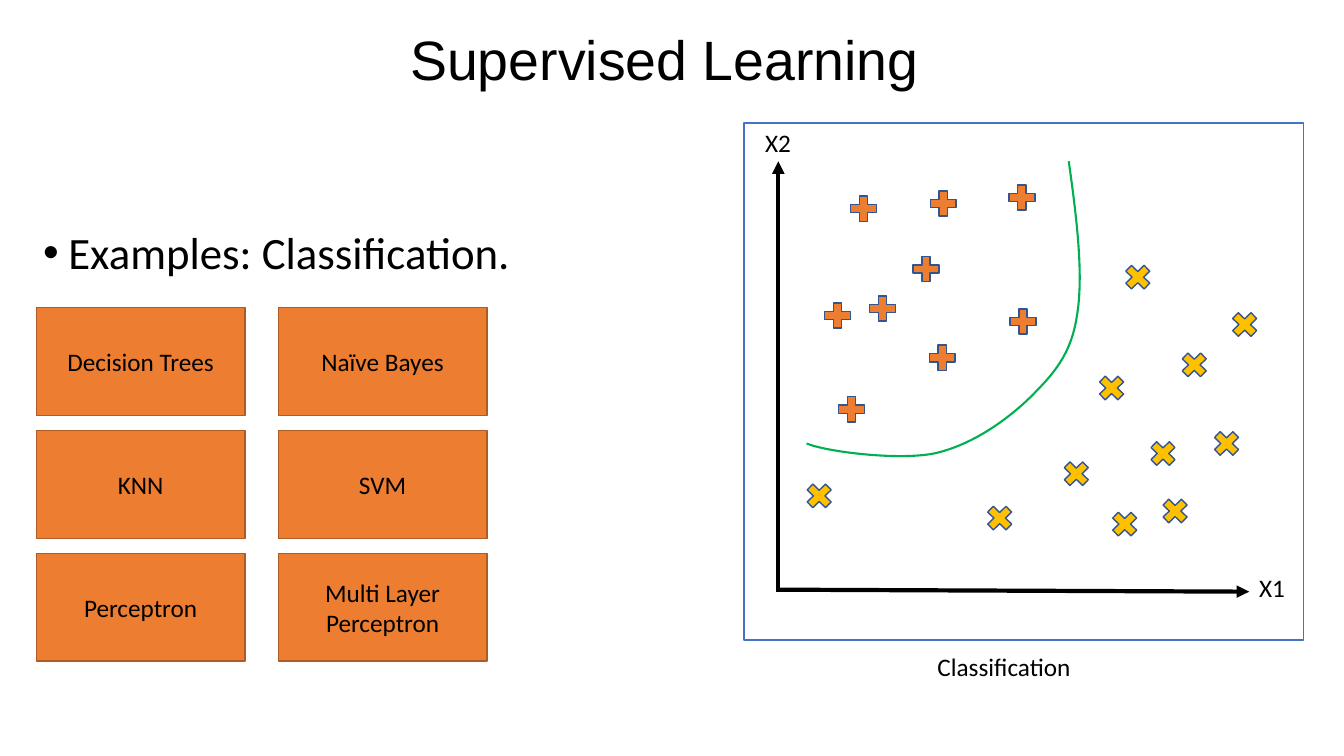
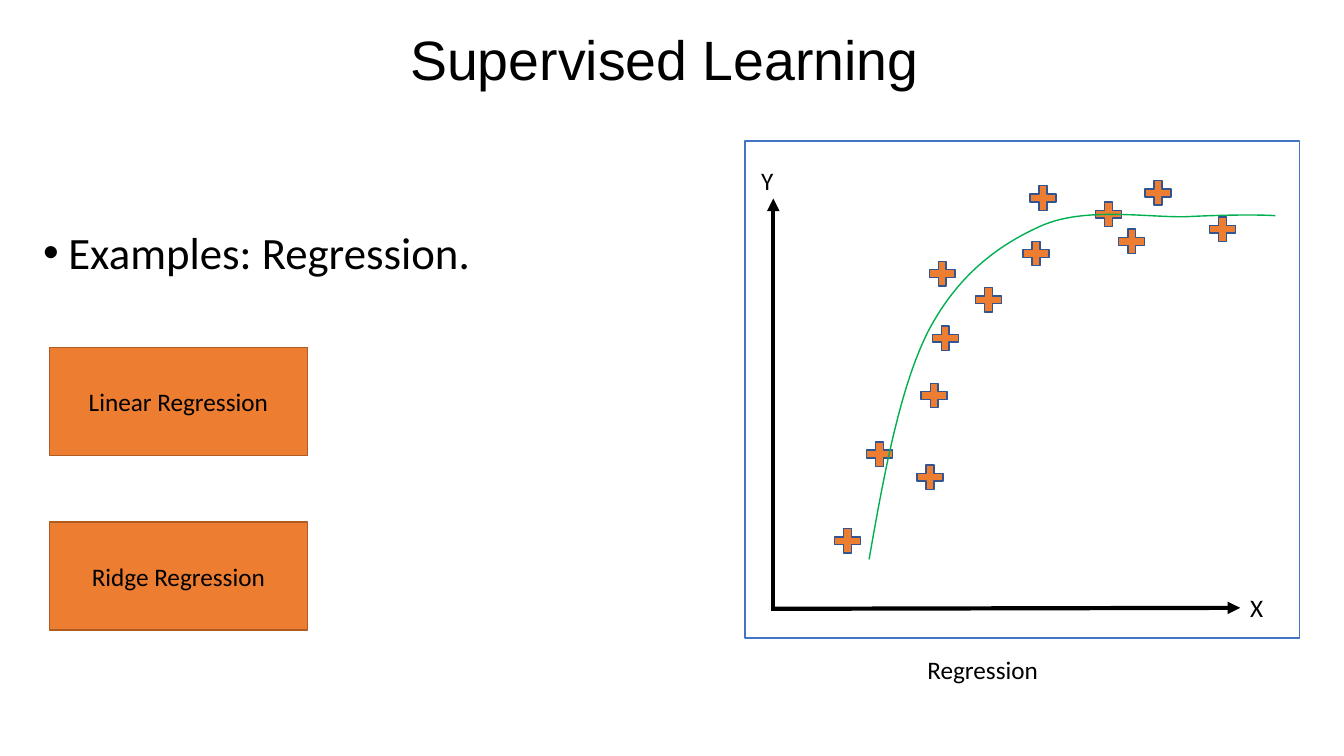
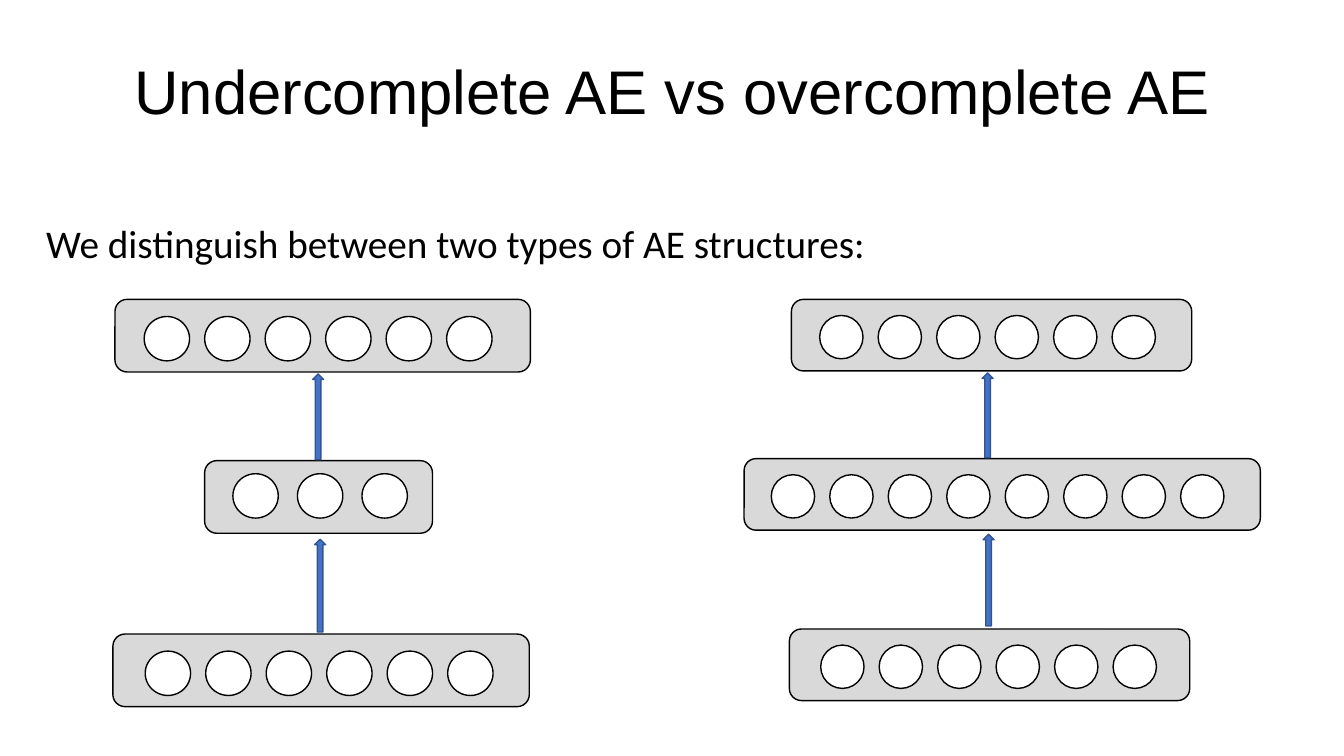
from dataclasses import dataclass

from lxml import etree
from pptx import Presentation
from pptx.dml.color import RGBColor
from pptx.enum.shapes import MSO_CONNECTOR, MSO_SHAPE
from pptx.enum.text import MSO_ANCHOR, MSO_AUTO_SIZE, PP_ALIGN
from pptx.oxml.ns import qn
from pptx.util import Inches, Pt

RECT, ROUND, OVAL = MSO_SHAPE.RECTANGLE, MSO_SHAPE.ROUNDED_RECTANGLE, MSO_SHAPE.OVAL
PLUS, CROSS, ARROW = MSO_SHAPE.MATH_PLUS, MSO_SHAPE.MATH_MULTIPLY, MSO_SHAPE.UP_ARROW
STRAIGHT = MSO_CONNECTOR.STRAIGHT
LEFT, CENTER = PP_ALIGN.LEFT, PP_ALIGN.CENTER
TOP, MIDDLE = MSO_ANCHOR.TOP, MSO_ANCHOR.MIDDLE


@dataclass(frozen=True)
class Theme:
    black: str = "000000"
    white: str = "FFFFFF"
    gray: str = "D9D9D9"
    blue: str = "4472C4"
    dark_blue: str = "325491"
    orange: str = "ED7D31"
    brown: str = "AF5C24"
    gold: str = "FFC000"
    green: str = "00B050"
    title_font: str = "Arial"
    body_font: str = "Calibri"
    title: float = 44
    small_title: float = 39.6
    bullet: float = 32
    lead: float = 28
    label: float = 18


T = Theme()


def write(shape, text, size, font=T.body_font, align=LEFT, anchor=TOP, spacing=1.0):
    tf = shape.text_frame
    tf.word_wrap = True
    tf.auto_size = MSO_AUTO_SIZE.NONE
    tf.vertical_anchor = anchor
    p = tf.paragraphs[0]
    p.alignment = align
    p.line_spacing = spacing
    r = p.add_run()
    r.text = text
    for name, value in {"name": font, "size": Pt(size), "bold": False}.items():
        setattr(r.font, name, value)
    r.font.color.rgb = RGBColor.from_string(T.black)
    return p


def add_box(s, kind, box, fill, line):
    sp = s.shapes.add_shape(kind, *map(Inches, box))
    sp.shadow.inherit = False
    sp.fill.solid()
    sp.fill.fore_color.rgb = RGBColor.from_string(fill)
    sp.line.color.rgb = RGBColor.from_string(line)
    sp.line.width = Pt(1)
    return sp


prs = Presentation()
prs.slide_width, prs.slide_height = Inches(13.33), Inches(7.5)
title_only = prs.slide_layouts[5]

SMALL_TITLE = ((1.09, 0.29, 11, 0.69), T.small_title, 0.8)
LARGE_TITLE = ((0.92, 0.4, 11.5, 1.07), T.title, 0.9)
slides = []
for text, (box, size, spacing) in [
    ("Supervised Learning", SMALL_TITLE),
    ("Supervised Learning", SMALL_TITLE),
    ("Undercomplete AE vs overcomplete AE", LARGE_TITLE),
]:
    s = prs.slides.add_slide(title_only)
    title = s.shapes.title
    title.left, title.top, title.width, title.height = map(Inches, box)
    write(title, text, size, T.title_font, CENTER, MIDDLE, spacing)
    slides.append(s)

# Supervised learning: methods on the left, a scatter plot on the right
plots = [
    {
        "bullet": "Examples: Classification.",
        "methods": ["Decision Trees", "Naïve Bayes", "KNN", "SVM",
                    "Perceptron", "Multi Layer Perceptron"],
        "grid": {"left": 0.36, "top": 3.05, "columns": 2, "dx": 2.4, "dy": 1.22,
                 "width": 2.07},
        "frame": (7.38, 1.22, 5.55, 5.13),
        "axes": [(7.73, 5.85, 12.39, 5.87), (7.72, 5.87, 7.72, 1.6)],
        "labels": [("X1", (12.39, 5.63, 0.72, 0.48)), ("X2", (7.49, 1.21, 0.72, 0.48)),
                   ("Classification", (9.2, 6.41, 3.23, 0.48))],
        "mark_height": 0.34,
        "marks": [
            (PLUS, T.orange, [(8.39, 1.9), (8.58, 2.89), (9.18, 1.85), (9.01, 2.5),
                              (9.17, 3.38), (9.97, 3.02), (8.13, 2.96), (9.96, 1.79),
                              (8.27, 3.89)]),
            (CROSS, T.gold, [(9.74, 4.97), (11.67, 3.45), (10.5, 4.53), (10.85, 3.68),
                             (10.98, 5.03), (11.99, 4.23), (11.48, 4.9), (12.17, 3.05),
                             (11.11, 2.58), (11.36, 4.33), (7.95, 4.75)]),
        ],
        "curve": [(10.6, 1.6), (10.68, 2.17), (10.75, 2.74), (10.68, 3.14),
                  (10.62, 3.53), (10.44, 3.72), (10.21, 3.95), (9.97, 4.18),
                  (9.63, 4.42), (9.26, 4.5), (8.89, 4.57), (8.19, 4.48), (8, 4.4)],
        "curve_width": 1.5,
    },
    {
        "bullet": "Examples: Regression.",
        "methods": ["Linear Regression", "Ridge Regression"],
        "grid": {"left": 0.49, "top": 3.45, "columns": 1, "dx": 0, "dy": 1.73,
                 "width": 2.56},
        "frame": (7.39, 1.4, 5.5, 4.93),
        "axes": [(7.68, 6.04, 12.3, 6.03), (7.67, 6.06, 7.67, 1.97)],
        "labels": [("X", (12.3, 5.83, 0.71, 0.4)), ("Y", (7.45, 1.59, 0.71, 0.4)),
                   ("Regression", (9.1, 6.44, 3.2, 0.46))],
        "mark_height": 0.33,
        "marks": [
            (PLUS, T.orange, [(8.23, 5.2), (9.17, 2.55), (8.55, 4.34), (9.09, 3.76),
                              (9.63, 2.81), (9.2, 3.19), (10.17, 1.8), (9.05, 4.57),
                              (10.1, 2.35), (10.82, 1.96), (11.05, 2.23), (11.31, 1.75),
                              (11.95, 2.11)]),
        ],
        "curve": [(8.62, 5.55), (8.77, 4.69), (8.93, 3.83), (9.21, 3.28),
                  (9.5, 2.73), (9.9, 2.43), (10.33, 2.24), (10.76, 2.05),
                  (11.38, 2.16), (11.77, 2.15), (12.16, 2.13), (12.5, 2.13), (12.65, 2.14)],
        "curve_width": 1,
    },
]

for s, plot in zip(slides, plots):
    body = s.shapes.add_textbox(Inches(0.33), Inches(2.18), Inches(5.27), Inches(0.7))
    pPr = body.text_frame.paragraphs[0]._p.get_or_add_pPr()
    pPr.set("marL", str(Inches(0.25)))
    pPr.set("indent", str(-Inches(0.25)))
    etree.SubElement(pPr, qn("a:buFont")).set("typeface", "Arial")
    etree.SubElement(pPr, qn("a:buChar")).set("char", "•")
    write(body, plot["bullet"], T.bullet)

    grid = plot["grid"]
    for i, method in enumerate(plot["methods"]):
        row, column = divmod(i, grid["columns"])
        box = (grid["left"] + column * grid["dx"], grid["top"] + row * grid["dy"],
               grid["width"], 1.07)
        sp = add_box(s, RECT, box, T.orange, T.brown)
        write(sp, method, T.label, align=CENTER, anchor=MIDDLE)

    add_box(s, RECT, plot["frame"], T.white, T.blue)
    for ends in plot["axes"]:
        axis = s.shapes.add_connector(STRAIGHT, *map(Inches, ends))
        axis.line.color.rgb = RGBColor.from_string(T.black)
        axis.line.width = Pt(3)
        etree.SubElement(axis.line._get_or_add_ln(), qn("a:tailEnd")).set("type", "triangle")
        etree.SubElement(axis._element.spPr, qn("a:effectLst"))
    for text, box in plot["labels"]:
        write(s.shapes.add_textbox(*map(Inches, box)), text, T.label)
    for kind, color, places in plot["marks"]:
        for x, y in places:
            add_box(s, kind, (x, y, 0.35, plot["mark_height"]), color, T.dark_blue)

    start, *controls = [(Inches(x), Inches(y)) for x, y in plot["curve"]]
    builder = s.shapes.build_freeform(*start)
    builder.add_line_segments(controls, close=False)
    curve = builder.convert_to_shape()
    curve.shadow.inherit = False
    curve.fill.background()
    curve.line.color.rgb = RGBColor.from_string(T.green)
    curve.line.width = Pt(plot["curve_width"])
    # Every three straight segments become one Bézier segment
    segments = list(curve._element.iter(qn("a:lnTo")))
    for i in range(0, len(segments), 3):
        bezier = etree.Element(qn("a:cubicBezTo"))
        segments[i].addprevious(bezier)
        for segment in segments[i:i + 3]:
            bezier.append(segment[0])
            segment.getparent().remove(segment)

# Autoencoders: layers of units joined by arrows
s = slides[2]
lead = s.shapes.add_textbox(Inches(0.36), Inches(2.13), Inches(8.36), Inches(0.57))
write(lead, "We distinguish between two types of AE structures:", T.lead)

networks = [
    {
        "height": 0.72, "unit": (0.45, 0.44),
        # layer left, top, width; first unit left, top; unit count, pitch
        "layers": [(1.14, 2.97, 4.12, 1.43, 3.14, 6, 0.6),
                   (1.12, 6.29, 4.13, 1.44, 6.46, 6, 0.6),
                   (2.03, 4.57, 2.26, 2.31, 4.7, 3, 0.64)],
        "arrows": [(3.12, 5.35, 0.11, 0.92), (3.1, 3.71, 0.11, 0.85)],
    },
    {
        "height": 0.71, "unit": (0.43, 0.43),
        "layers": [(7.85, 2.97, 3.97, 8.13, 3.13, 6, 0.58),
                   (7.83, 6.24, 3.97, 8.14, 6.4, 6, 0.58),
                   (7.38, 4.55, 5.12, 7.65, 4.71, 8, 0.58)],
        "arrows": [(9.75, 5.3, 0.11, 0.91), (9.74, 3.7, 0.11, 0.84)],
    },
]
for network in networks:
    for left, top, width, unit_left, unit_top, count, pitch in network["layers"]:
        add_box(s, ROUND, (left, top, width, network["height"]), T.gray, T.black)
        for i in range(count):
            box = (unit_left + i * pitch, unit_top, *network["unit"])
            add_box(s, OVAL, box, T.white, T.black)
    for box in network["arrows"]:
        add_box(s, ARROW, box, T.blue, T.dark_blue)

prs.save("out.pptx")
